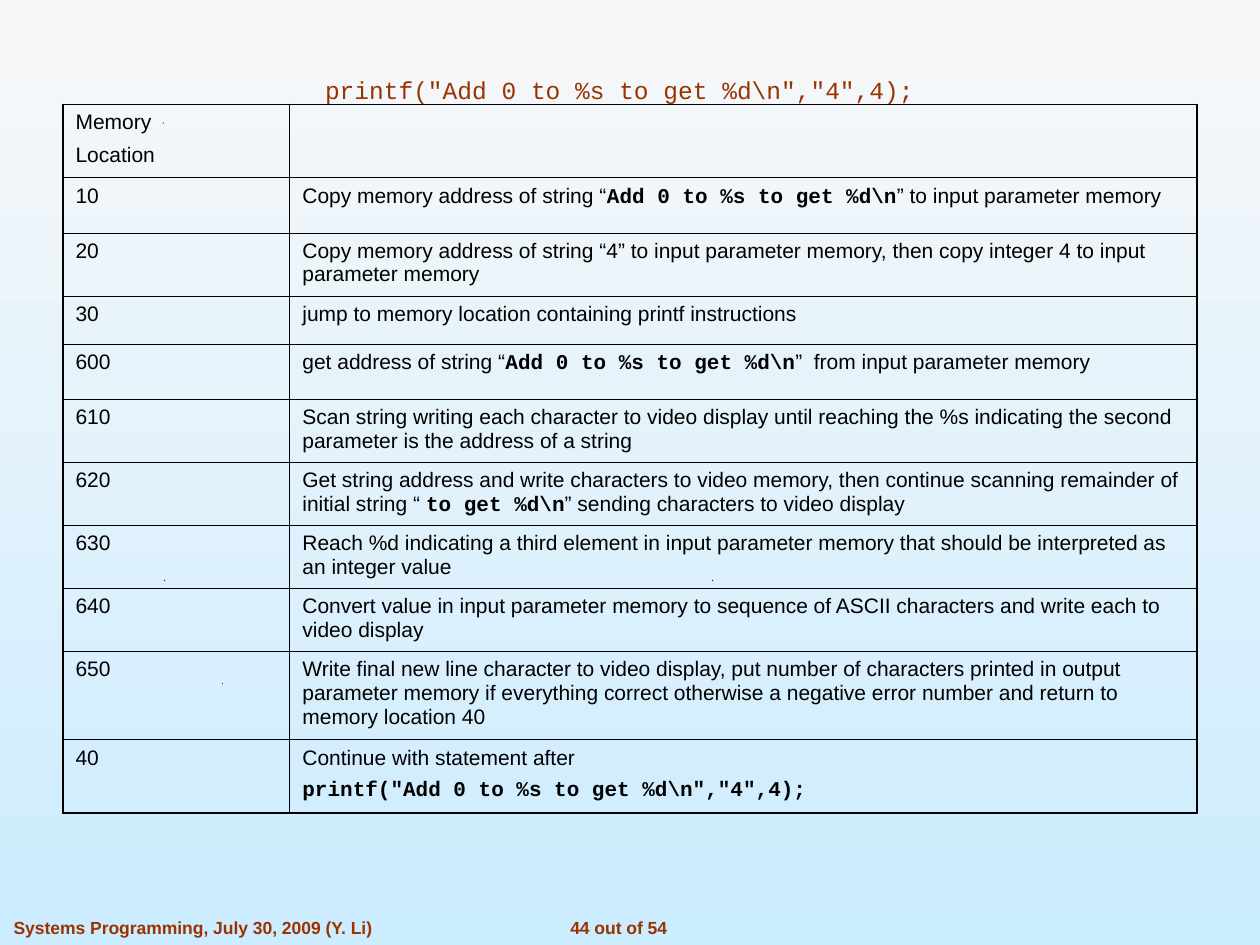
import pptx
import pptx.dml.color
import pptx.enum.text
import pptx.oxml
import pptx.oxml.ns
import pptx.util

Inches, Pt = pptx.util.Inches, pptx.util.Pt
RGB = pptx.dml.color.RGBColor
ALIGN = pptx.enum.text.PP_ALIGN
ANCHOR = pptx.enum.text.MSO_ANCHOR
FIT = pptx.enum.text.MSO_AUTO_SIZE

BLACK = RGB(0x00, 0x00, 0x00)
RUST = RGB(0x99, 0x33, 0x00)
PALE = RGB(0xF8, 0xF8, 0xF8)
SKY = RGB(0xCC, 0xEC, 0xFF)
SANS, MONO = "Arial", "Courier New"
THICK, THIN = 1.08, 0.45

FORMAT = r"Add 0 to %s to get %d\n"
CALL = f'printf("{FORMAT}","4",4);'
COLS = [1.8, 7.2]
# Row height, memory location, action; text between backticks is code.
STEPS = [
    (0.58, "Memory\nLocation", ""),
    (0.44, "10", [f"Copy memory address of string “`{FORMAT}`” to input parameter memory"]),
    (0.5, "20", "Copy memory address of string “4” to input parameter memory, "
                "then copy integer 4 to input parameter memory"),
    (0.38, "30", "jump to memory location containing printf instructions"),
    (0.44, "600", f"get address of string “`{FORMAT}`”  from input parameter memory"),
    (0.5, "610", "Scan string writing each character to video display until reaching "
                 "the %s indicating the second parameter is the address of a string"),
    (0.5, "620", "Get string address and write characters to video memory, then continue "
                 "scanning remainder of initial string “ `to get %d\\n`” "
                 "sending characters to video display"),
    (0.5, "630", "Reach %d indicating a third element in input parameter memory that "
                 "should be interpreted as an integer value"),
    (0.5, "640", "Convert value in input parameter memory to sequence of ASCII characters "
                 "and write each to video display"),
    (0.7, "650", "Write final new line character to video display, put number of characters "
                 "printed in output parameter memory if everything correct otherwise a "
                 "negative error number and return to memory location 40"),
    (0.58, "40", f"Continue with statement after\n`{CALL}`"),
]
SPECKS = [(1.76, 5.42), (1.3, 4.6), (5.65, 4.6), (1.29, 0.97)]


def write(frame, text, size=12, font=SANS, color=BLACK, bold=False,
          align=ALIGN.LEFT, gap=5.2):
    """Fill a frame, one paragraph a line; backticks mark bold code."""
    lines = text if isinstance(text, list) else text.split("\n")
    for i, line in enumerate(lines):
        para = frame.paragraphs[0] if i == 0 else frame.add_paragraph()
        para.alignment = align
        if i:
            para.space_before = Pt(gap)
        for j, part in enumerate(line.split("`")):
            if not part:
                continue
            code = j % 2 == 1
            run = para.add_run()
            run.text = part
            run.font.size = Pt(size)
            run.font.name = MONO if code else font
            run.font.bold = code or bold
            run.font.color.rgb = color


def paint(slide):
    fill = slide.background.fill
    fill.gradient()
    fill.gradient_angle = 270
    for stop, color in zip(fill.gradient_stops, (PALE, SKY)):
        stop.color.rgb = color


def title(slide, text):
    shape = slide.shapes.title
    shape.left, shape.top = Inches(0.42), Inches(0.25)
    shape.width, shape.height = Inches(9), Inches(0.63)
    frame = shape.text_frame
    frame.auto_size = FIT.NONE
    frame.vertical_anchor = ANCHOR.BOTTOM
    write(frame, text, size=14, font=MONO, color=RUST, align=ALIGN.CENTER)


def footer(slide, text, left, width, align):
    box = slide.shapes.add_textbox(Inches(left), Inches(7.23), Inches(width), Inches(0.27))
    box.text_frame.word_wrap = False
    write(box.text_frame, text, size=10, color=RUST, bold=True, align=align)


def speck(slide, x, y):
    pen = slide.shapes.build_freeform(Inches(x), Inches(y + 0.01))
    pen.add_line_segments([(Inches(x + 0.01), Inches(y)),
                           (Inches(x + 0.01), Inches(y + 0.01))])
    shape = pen.convert_to_shape()
    shape.shadow.inherit = False
    shape.fill.solid()
    shape.fill.fore_color.rgb = BLACK
    shape.line.fill.background()


def border(cell, **widths):
    """Draw the sides L, R, T, B in the widths given, in that order."""
    props = cell._tc.get_or_add_tcPr()
    for i, (side, width) in enumerate(widths.items()):
        props.insert(i, pptx.oxml.parse_xml(
            f'<a:ln{side} {pptx.oxml.ns.nsdecls("a")} w="{int(Pt(width))}">'
            f'<a:solidFill><a:srgbClr val="{BLACK}"/></a:solidFill></a:ln{side}>'))


def grid(slide):
    high = sum(step[0] for step in STEPS)
    table = slide.shapes.add_table(len(STEPS), len(COLS), Inches(0.5), Inches(0.83),
                                   Inches(sum(COLS)), Inches(high)).table
    table.first_row = table.horz_banding = False
    for col, width in zip(table.columns, COLS):
        col.width = Inches(width)
    for r, (height, *texts) in enumerate(STEPS):
        table.rows[r].height = Inches(height)
        for c, text in enumerate(texts):
            cell = table.cell(r, c)
            cell.fill.background()
            write(cell.text_frame, text)
            border(cell,
                   L=THICK if c == 0 else THIN,
                   R=THICK if c == len(COLS) - 1 else THIN,
                   T=THICK if r == 0 else THIN,
                   B=THICK if r == len(STEPS) - 1 else THIN)


def main():
    deck = pptx.Presentation()
    deck.slide_width, deck.slide_height = Inches(10), Inches(7.5)
    slide = deck.slides.add_slide(deck.slide_layouts[5])
    paint(slide)
    footer(slide, "44 out of 54", 4.17, 1.48, ALIGN.CENTER)
    footer(slide, "Systems Programming, July 30, 2009 (Y. Li)", 0.01, 3.06, ALIGN.LEFT)
    for x, y in SPECKS:
        speck(slide, x, y)
    title(slide, CALL)
    grid(slide)
    deck.save("out.pptx")


if __name__ == "__main__":
    main()
